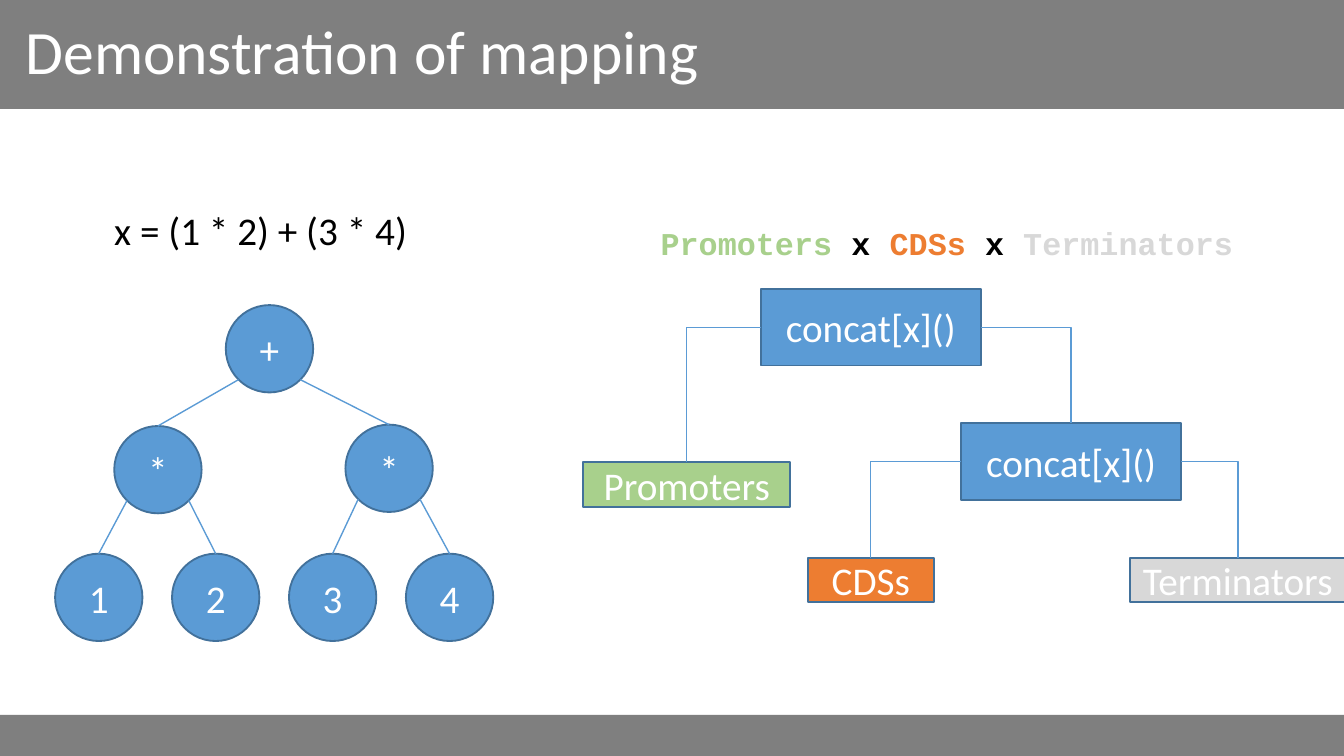
from dataclasses import dataclass
from math import sqrt

from lxml.etree import SubElement
from pptx import Presentation
from pptx.dml.color import RGBColor
from pptx.enum.shapes import MSO_CONNECTOR, MSO_SHAPE
from pptx.enum.text import MSO_ANCHOR, MSO_AUTO_SIZE, PP_ALIGN
from pptx.oxml.ns import qn
from pptx.util import Inches, Pt

WHITE = RGBColor(0xFF, 0xFF, 0xFF)
BLACK = RGBColor(0x00, 0x00, 0x00)
BAR_GRAY = RGBColor(0x7F, 0x7F, 0x7F)
BLUE = RGBColor(0x5B, 0x9B, 0xD5)
OUTLINE = RGBColor(0x42, 0x71, 0x9B)
GREEN = RGBColor(0xA8, 0xD0, 0x8C)
ORANGE = RGBColor(0xED, 0x7D, 0x31)
LIGHT_GRAY = RGBColor(0xD8, 0xD8, 0xD8)

LEFT, RIGHT, TOP = 1, 3, 0  # connection sites of a rectangle
DIAMETER = 0.65
DIAGONAL = DIAMETER / 2 * sqrt(0.5)


@dataclass
class Box:
    text: str
    left: float
    top: float
    width: float
    height: float
    color: RGBColor


@dataclass
class Node:
    text: str
    left: float
    top: float

    @property
    def center_x(self) -> float:
        return self.left + DIAMETER / 2

    @property
    def center_y(self) -> float:
        return self.top + DIAMETER / 2


def place(shape, left: float, top: float, width: float, height: float) -> None:
    shape.left, shape.top = Inches(left), Inches(top)
    shape.width, shape.height = Inches(width), Inches(height)


def format_frame(frame, align, size: float, color: RGBColor, font_name="Calibri") -> None:
    frame.word_wrap = True
    frame.auto_size = MSO_AUTO_SIZE.NONE
    frame.vertical_anchor = MSO_ANCHOR.MIDDLE
    frame.margin_left = frame.margin_right = Inches(0.07)
    frame.margin_top = frame.margin_bottom = Inches(0.04)
    for paragraph in frame.paragraphs:
        paragraph.alignment = align
        for run in paragraph.runs:
            run.font.name = font_name
            run.font.size = Pt(size)
            run.font.color.rgb = color


def add_filled(slide, kind, left: float, top: float, width: float, height: float, color: RGBColor):
    shape = slide.shapes.add_shape(kind, Inches(left), Inches(top), Inches(width), Inches(height))
    shape.shadow.inherit = False
    shape.fill.solid()
    shape.fill.fore_color.rgb = color
    return shape


def add_bar(slide, top: float, height: float) -> None:
    bar = add_filled(slide, MSO_SHAPE.RECTANGLE, 0, top, 10, height, BAR_GRAY)
    bar.line.fill.background()
    # Send behind the placeholders
    slide.shapes.element.insert(2, bar.element)


def add_labelled(slide, kind, box: Box):
    shape = add_filled(slide, kind, box.left, box.top, box.width, box.height, box.color)
    shape.line.color.rgb = OUTLINE
    shape.line.width = Pt(1)
    shape.text_frame.text = box.text
    format_frame(shape.text_frame, PP_ALIGN.CENTER, 21, WHITE)
    return shape


def add_line(slide, kind, x1: float = 0, y1: float = 0, x2: float = 0, y2: float = 0):
    line = slide.shapes.add_connector(kind, Inches(x1), Inches(y1), Inches(x2), Inches(y2))
    line.line.color.rgb = BLUE
    line.line.width = Pt(0.75)
    SubElement(line.element.spPr, qn("a:effectLst"))
    return line


def add_elbow(slide, parent, side: int, child) -> None:
    elbow = add_line(slide, MSO_CONNECTOR.ELBOW)
    elbow.element.spPr.find(qn("a:prstGeom")).set("prst", "bentConnector2")
    elbow.begin_connect(parent, side)
    elbow.end_connect(child, TOP)


def add_branch(slide, parent: Node, child: Node) -> None:
    direction = 1 if child.left > parent.left else -1
    add_line(slide, MSO_CONNECTOR.STRAIGHT,
             parent.center_x + direction * DIAGONAL, parent.center_y + DIAGONAL,
             child.center_x, child.top)


def fill_placeholders(slide) -> None:
    title, formula = slide.shapes.title, slide.placeholders[1]
    place(title, 0.12, 0, 9.77, 0.81)
    title.text_frame.text = "Demonstration of mapping"
    format_frame(title.text_frame, PP_ALIGN.LEFT, 33, WHITE)
    title.text_frame.paragraphs[0].line_spacing = 0.9

    place(formula, 0.78, 1.39, 2.37, 0.68)
    formula.text_frame.text = "x = (1 * 2) + (3 * 4)"
    format_frame(formula.text_frame, PP_ALIGN.LEFT, 21, BLACK)
    paragraph = formula.text_frame.paragraphs[0]
    paragraph.line_spacing = 0.9
    paragraph.space_before = Pt(8)
    properties = paragraph._p.get_or_add_pPr()
    properties.set("marL", "0")
    properties.set("indent", "0")
    SubElement(properties, qn("a:buNone"))


def add_product(slide) -> None:
    product = slide.shapes.add_textbox(Inches(4.8), Inches(1.63), Inches(4.49), Inches(0.35))
    paragraph = product.text_frame.paragraphs[0]
    terms = [("Promoters", GREEN), (" x ", BLACK), ("CDSs", ORANGE),
             (" x ", BLACK), ("Terminators", LIGHT_GRAY)]
    for text, _ in terms:
        paragraph.add_run().text = text
    format_frame(product.text_frame, PP_ALIGN.CENTER, 17, BLACK, "Courier New")
    for run, (_, color) in zip(paragraph.runs, terms):
        run.font.bold = True
        run.font.color.rgb = color


def add_concat_tree(slide) -> None:
    boxes = [
        Box("concat[x]()", 5.66, 2.15, 1.64, 0.57, BLUE),
        Box("concat[x]()", 7.15, 3.15, 1.64, 0.57, BLUE),
        Box("Promoters", 4.34, 3.44, 1.54, 0.33, GREEN),
        Box("CDSs", 6.01, 4.15, 0.94, 0.33, ORANGE),
        Box("Terminators", 8.41, 4.15, 1.6, 0.33, LIGHT_GRAY),
    ]
    outer, inner, promoters, cdss, terminators = [
        add_labelled(slide, MSO_SHAPE.RECTANGLE, box) for box in boxes]
    for parent, side, child in [(outer, LEFT, promoters), (outer, RIGHT, inner),
                                (inner, LEFT, cdss), (inner, RIGHT, terminators)]:
        add_elbow(slide, parent, side, child)


def add_expression_tree(slide) -> None:
    plus = Node("+", 1.68, 2.27)
    products = [Node("*", 0.85, 3.17), Node("*", 2.57, 3.16)]
    numbers = [Node(str(i + 1), 0.41 + 0.87 * i, 4.12) for i in range(4)]
    for node in [plus, *products, *numbers]:
        add_labelled(slide, MSO_SHAPE.OVAL,
                     Box(node.text, node.left, node.top, DIAMETER, DIAMETER, BLUE))
    for i, number in enumerate(numbers):
        add_branch(slide, products[i // 2], number)
    for product in products:
        add_branch(slide, plus, product)


def main() -> None:
    presentation = Presentation()
    # Widescreen, 16 to 9
    presentation.slide_width = Inches(10)
    presentation.slide_height = Inches(10 * 9 / 16)
    slide = presentation.slides.add_slide(presentation.slide_layouts[1])

    # Header and footer bars
    add_bar(slide, 0, 0.81)
    add_bar(slide, 5.32, 0.31)

    fill_placeholders(slide)

    # Right: combinatorial product and its call tree
    add_concat_tree(slide)
    add_product(slide)

    # Left: arithmetic expression tree
    add_expression_tree(slide)

    presentation.save("out.pptx")


if __name__ == "__main__":
    main()
